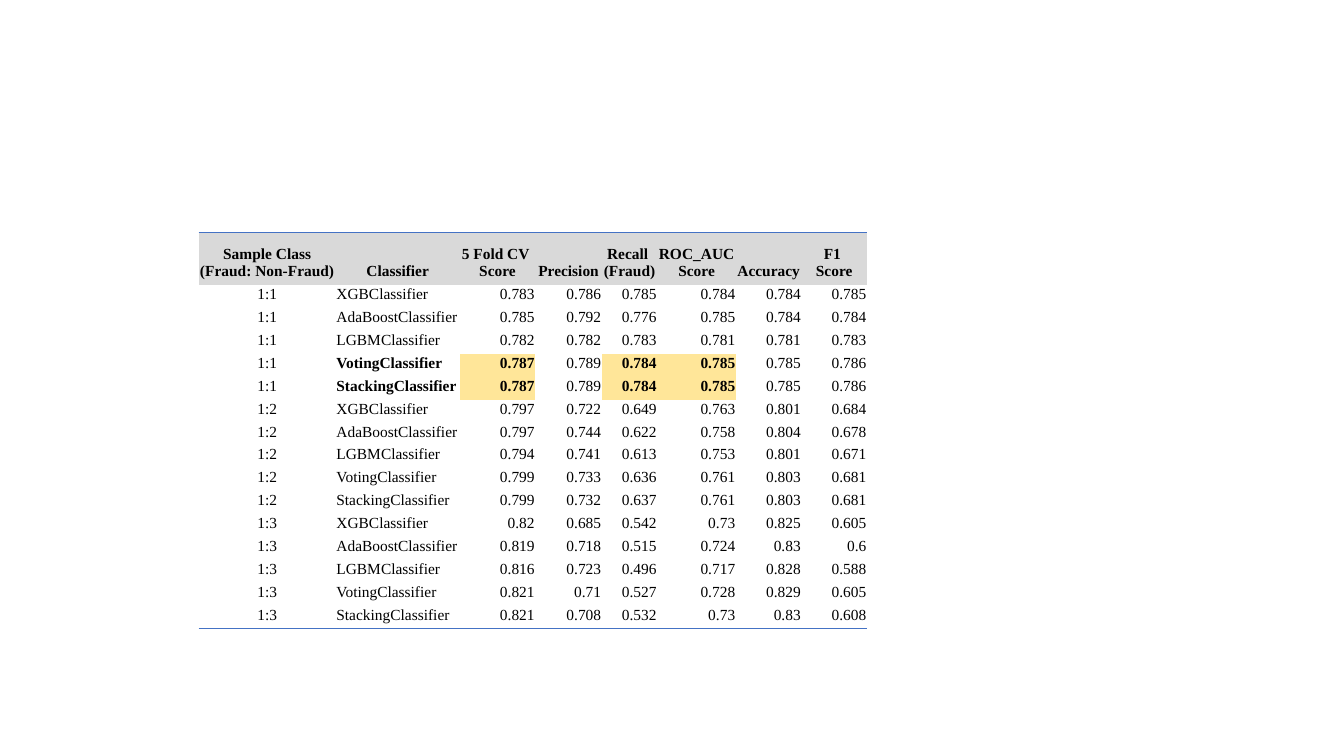
from pptx import Presentation, util as u
from pptx.dml.color import RGBColor
from pptx.enum import text
from pptx.oxml import parse_xml
from pptx.oxml.ns import nsdecls, qn

FONT, SIZE = "Times New Roman", 11
BLACK, GREY, YELLOW, BLUE = "000000", "D9D9D9", "FFE699", "4472C4"
PLAIN_STYLE = "{2D5ABB26-0587-4C30-8999-92F81FD0307C}"
COLUMN_WIDTHS = [1.36, 1.23, 0.75, 0.66, 0.55, 0.78, 0.65, 0.65]
HEADER_HEIGHT, ROW_HEIGHT = 0.52, 0.21
HEADINGS = ["Sample Class\v(Fraud: Non-Fraud)", "Classifier", "5 Fold CV \vScore",
            "Precision", "Recall \n(Fraud)", "ROC_AUC\nScore", "Accuracy", "F1 \nScore"]
CLASSIFIERS = [name + "Classifier" for name in ("XGB", "AdaBoost", "LGBM", "Voting", "Stacking")]
SCORES = {
    "1:1": ["0.783 0.786 0.785 0.784 0.784 0.785",
            "0.785 0.792 0.776 0.785 0.784 0.784",
            "0.782 0.782 0.783 0.781 0.781 0.783",
            "0.787 0.789 0.784 0.785 0.785 0.786",
            "0.787 0.789 0.784 0.785 0.785 0.786"],
    "1:2": ["0.797 0.722 0.649 0.763 0.801 0.684",
            "0.797 0.744 0.622 0.758 0.804 0.678",
            "0.794 0.741 0.613 0.753 0.801 0.671",
            "0.799 0.733 0.636 0.761 0.803 0.681",
            "0.799 0.732 0.637 0.761 0.803 0.681"],
    "1:3": ["0.82 0.685 0.542 0.73 0.825 0.605",
            "0.819 0.718 0.515 0.724 0.83 0.6",
            "0.816 0.723 0.496 0.717 0.828 0.588",
            "0.821 0.71 0.527 0.728 0.829 0.605",
            "0.821 0.708 0.532 0.73 0.83 0.608"],
}
BEST_ROWS, BEST_SCORES = (4, 5), (2, 4, 5)
CLASSIFIER_COLUMN = 1


def color(value):
    """Turn a hex string into a colour."""
    return RGBColor.from_string(value)


def rule(cell, side):
    """Draw a blue border on the top (T) or bottom (B) of a cell."""
    cell._tc.get_or_add_tcPr().insert(0, parse_xml(
        f'<a:ln{side} {nsdecls("a")} w="{u.Pt(1)}" cap="flat" cmpd="sng" algn="ctr">'
        f'<a:solidFill><a:srgbClr val="{color(BLUE)}"/></a:solidFill>'
        f'<a:prstDash val="solid"/></a:ln{side}>'))


def fill_cell(cell, words, align, bold=False, shade=None):
    """Write and format one cell."""
    cell.text = words
    cell.vertical_anchor = text.MSO_ANCHOR.BOTTOM
    cell.margin_left = cell.margin_top = cell.margin_right = u.Pt(0.5)
    cell.margin_bottom = u.Inches(0.05)
    for paragraph in cell.text_frame.paragraphs:
        paragraph.alignment = align
        font = paragraph.font
        font.name, font.size, font.bold = FONT, u.Pt(SIZE), bold
        font.color.rgb = color(BLACK)
    if shade:
        cell.fill.solid()
        cell.fill.fore_color.rgb = color(shade)
    else:
        cell.fill.background()


def score_table(slide, left, top, width, height):
    """Place the classifier scores in the given box."""
    records = [[sample, classifier, *scores.split()]
               for sample, lines in SCORES.items()
               for classifier, scores in zip(CLASSIFIERS, lines)]
    table = slide.shapes.add_table(len(records) + 1, len(HEADINGS), u.Inches(left),
                                   u.Inches(top), u.Inches(width), u.Inches(height)).table
    table.first_row = table.horz_banding = False
    table._tbl.tblPr.find(qn("a:tableStyleId")).text = PLAIN_STYLE
    for column, share in zip(table.columns, COLUMN_WIDTHS):
        column.width = u.Inches(width * share / sum(COLUMN_WIDTHS))
    for number, row in enumerate(table.rows):
        row.height = u.Inches(ROW_HEIGHT if number else HEADER_HEIGHT)

    center, left_side, right_side = text.PP_ALIGN.CENTER, text.PP_ALIGN.LEFT, text.PP_ALIGN.RIGHT
    aligns = [center, left_side] + [right_side] * (len(HEADINGS) - 2)
    for column, heading in enumerate(HEADINGS):
        fill_cell(table.cell(0, column), heading, center, True, GREY)
        rule(table.cell(0, column), "T")
    for number, record in enumerate(records, 1):
        for column, words in enumerate(record):
            best = number in BEST_ROWS and column in BEST_SCORES
            bold = best or (number in BEST_ROWS and column == CLASSIFIER_COLUMN)
            fill_cell(table.cell(number, column), words, aligns[column], bold,
                      YELLOW if best else None)
    for column in range(len(HEADINGS)):
        rule(table.cell(len(records), column), "B")


deck = Presentation()
deck.slide_width, deck.slide_height = u.Inches(13.33), u.Inches(7.5)
score_slide = deck.slides.add_slide(deck.slide_layouts[6])
score_table(score_slide, 1.97, 2.31, sum(COLUMN_WIDTHS),
            HEADER_HEIGHT + ROW_HEIGHT * len(SCORES) * len(CLASSIFIERS))
deck.save("out.pptx")
